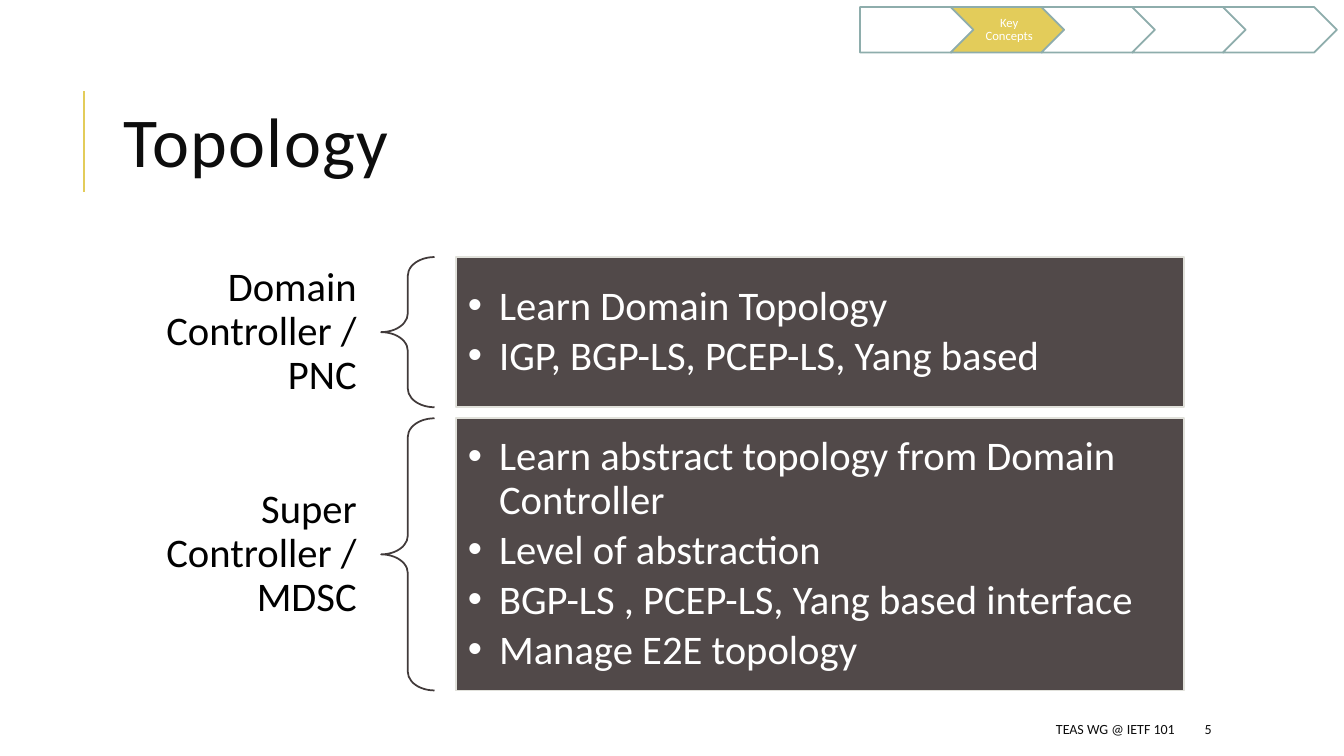
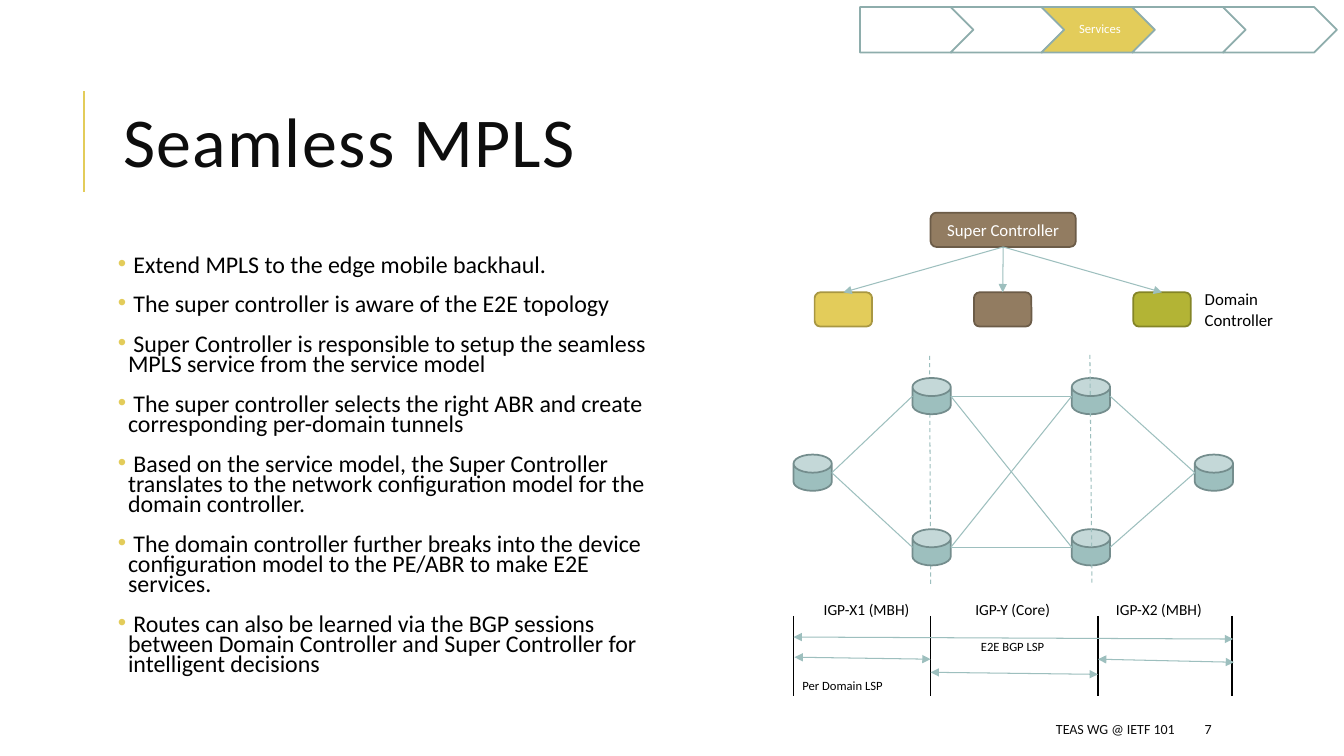
from itertools import pairwise, product

from lxml import etree
from pptx import Presentation
from pptx import util as u
from pptx.dml.color import RGBColor
from pptx.enum import dml, shapes, text
from pptx.oxml.ns import qn

GOLD, TEAL, BROWN, OLIVE = "E3CC5A", "9DBFBE", "927C61", "B3B435"
BLACK, INK, WHITE = "000000", "0D0D0D", "FFFFFF"
LEFT, CENTER, RIGHT = text.PP_ALIGN.LEFT, text.PP_ALIGN.CENTER, text.PP_ALIGN.RIGHT
TOP, MIDDLE = text.MSO_ANCHOR.TOP, text.MSO_ANCHOR.MIDDLE
KIND = shapes.MSO_SHAPE


def rgb(hex_colour):
    return RGBColor.from_string(hex_colour)


class Deck:
    font = "Calibri"
    step_count = 5

    def __init__(self):
        self.prs = Presentation()
        self.prs.slide_width, self.prs.slide_height = u.Inches(13.33), u.Inches(7.5)
        self.slide = None

    def start(self, layout, title, number):
        self.slide = self.prs.slides.add_slide(self.prs.slide_layouts[layout])
        self.line((0.83, 1.9), (0.83, 0.9), GOLD, 1.5)
        heading = self.place(self.slide.shapes.title, 1.12, 0.64, 10.63, 1.64)
        self.fill_text(heading, [title], 50, INK, anchor=MIDDLE, spacing=0.8, tracking=100)
        self.label("TEAS WG @ IETF 101", 5.3, 7.08, 6.45, 0.3, 10, INK, align=RIGHT, anchor=MIDDLE)
        self.label(number, 11.85, 7.08, 1.06, 0.3, 10, INK, anchor=MIDDLE)

    def place(self, shape, x, y, w, h):
        shape.left, shape.top, shape.width, shape.height = map(u.Inches, (x, y, w, h))
        return shape

    def fill_text(self, shape, lines, size, colour, align=LEFT, anchor=TOP, spacing=1.0, before=0,
                  after=0, insets=(0.1, 0.05, 0.1, 0.05), indent=0, bullet=None, tracking=None):
        frame = shape.text_frame
        frame.word_wrap, frame.auto_size = True, text.MSO_AUTO_SIZE.NONE
        frame.vertical_anchor = anchor
        (frame.margin_left, frame.margin_top,
         frame.margin_right, frame.margin_bottom) = map(u.Inches, insets)
        frame.text = "\n".join(lines)
        for paragraph in frame.paragraphs:
            paragraph.alignment, paragraph.line_spacing = align, spacing
            paragraph.space_before, paragraph.space_after = u.Pt(before), u.Pt(after)
            if bullet:
                self.bullet(paragraph, indent, bullet)
            self.style(paragraph, size, colour)
            if tracking:
                paragraph._p.pPr.find(qn("a:defRPr")).set("spc", str(tracking))

    def style(self, paragraph, size, colour):
        paragraph.font.name, paragraph.font.size = self.font, u.Pt(size)
        paragraph.font.color.rgb = rgb(colour)

    def bullet(self, paragraph, indent, colour):
        props = paragraph._p.get_or_add_pPr()
        props.set("marL", str(u.Inches(indent)))
        props.set("indent", str(-u.Inches(indent)))
        tint = etree.SubElement(props, qn("a:buClr"))
        etree.SubElement(tint, qn("a:srgbClr")).set("val", colour)
        etree.SubElement(props, qn("a:buFont")).set("typeface", "Arial")
        etree.SubElement(props, qn("a:buChar")).set("char", "•")

    def label(self, wording, x, y, w, h, size, colour=BLACK, **layout):
        box = self.place(self.slide.shapes.add_textbox(0, 0, 0, 0), x, y, w, h)
        self.fill_text(box, wording.split("\n"), size, colour, **layout)

    def shape(self, kind, x, y, w, h, fill, outline, adjust=None):
        shape = self.slide.shapes.add_shape(kind, *map(u.Inches, (x, y, w, h)))
        shape.shadow.inherit = False
        if fill:
            shape.fill.solid()
            shape.fill.fore_color.rgb = rgb(fill)
        else:
            shape.fill.background()
        shape.line.color.rgb, shape.line.width = rgb(outline), u.Pt(1.25)
        if adjust:
            shape.adjustments[0] = adjust
        return shape

    def line(self, start, end, colour=TEAL, width=0.75, dashed=False, arrows=()):
        connector = self.slide.shapes.add_connector(
            shapes.MSO_CONNECTOR.STRAIGHT, *map(u.Inches, (*start, *end)))
        connector.line.color.rgb, connector.line.width = rgb(colour), u.Pt(width)
        if dashed:
            connector.line.dash_style = dml.MSO_LINE.DASH
        stroke = connector.line._get_or_add_ln()
        for end_name in arrows:
            etree.SubElement(stroke, qn(f"a:{end_name}")).set("type", "triangle")
        etree.SubElement(connector._element.spPr, qn("a:effectLst"))
        return connector

    def table(self, cells, x, y, w, h, size):
        frame = self.slide.shapes.add_table(1, len(cells), *map(u.Inches, (x, y, w, h)))
        frame.table.first_row = frame.table.horz_banding = False
        for cell, wording in zip(frame.table.iter_cells(), cells):
            cell.fill.background()
            cell.text = wording
            paragraph = cell.text_frame.paragraphs[0]
            paragraph.alignment = CENTER
            self.style(paragraph, size, BLACK)

    def progress(self, current, wording):
        for step in range(self.step_count):
            kind = KIND.CHEVRON if step else KIND.PENTAGON
            fill = GOLD if step == current else WHITE
            marker = self.shape(kind, 8.53 + 0.9 * step, 0.07, 1.13, 0.45, fill, "8EADAC")
            if step == current:
                self.fill_text(marker, [wording], 9, WHITE, align=CENTER, anchor=MIDDLE,
                               spacing=0.9, insets=(0.04, 0.03, 0.01, 0.03))

    def role(self, name, duties, y, h):
        self.label(name, 1.12, y, 2.65, h, 29, align=RIGHT, anchor=MIDDLE,
                   spacing=0.9, insets=(0.23, 0.08, 0.23, 0.08))
        self.shape(KIND.LEFT_BRACE, 3.78, y, 0.53, h, None, "413A3A", 0.35)
        panel = self.shape(KIND.RECTANGLE, 4.52, y, 7.22, h, "514949", "E1E1DB")
        self.fill_text(panel, duties, 29, WHITE, anchor=MIDDLE, spacing=0.9, after=4.4,
                       insets=(0.12,) * 4, indent=0.31, bullet=WHITE)


def topology(deck):
    deck.start(5, "Topology", "5")
    deck.role("Domain Controller / PNC",
              ["Learn Domain Topology", "IGP, BGP-LS, PCEP-LS, Yang based"], 2.55, 1.49)
    deck.role("Super Controller / MDSC",
              ["Learn abstract topology from Domain Controller", "Level of abstraction",
               "BGP-LS , PCEP-LS, Yang based interface", "Manage E2E topology"], 4.15, 2.7)
    deck.progress(1, "Key Concepts")


def controllers(deck):
    super_controller = deck.shape(KIND.ROUNDED_RECTANGLE, 9.23, 2.11, 1.44, 0.34, BROWN, "6C5C48")
    deck.fill_text(super_controller, ["Super Controller"], 12, WHITE, align=CENTER, anchor=MIDDLE)
    domains = [(GOLD, "A89743"), (BROWN, "6C5C48"), (OLIVE, "848527")]
    for column, (fill, outline) in enumerate(domains):
        domain = deck.shape(KIND.ROUNDED_RECTANGLE, 8.08 + 1.58 * column, 2.9, 0.57, 0.34,
                            fill, outline)
        control = deck.line((9.95, 2.45), (9.95, 2.9), arrows=["tailEnd"])
        control.begin_connect(super_controller, 2)
        control.end_connect(domain, 0)
    deck.label("Domain\nController", 11.85, 2.82, 1.69, 0.5, 12)


def network(deck):
    router_w, router_h = 0.38, 0.36
    stages = [[(7.87, 4.51)], [(9.05, 3.75), (9.05, 5.25)],
              [(10.63, 3.75), (10.63, 5.25)], [(11.85, 4.51)]]
    deck.line((9.22, 3.53), (9.23, 5.8), dashed=True)
    for stage in stages:
        for x, y in stage:
            deck.shape(KIND.CAN, x, y, router_w, router_h, TEAL, "748D8D", 0.5)
    links = [link for near, far in pairwise(stages) for link in product(near, far)]
    for (x1, y1), (x2, y2) in links:
        deck.line((x1 + router_w, y1 + router_h / 2), (x2, y2 + router_h / 2))
    deck.line((10.81, 3.52), (10.83, 5.78), dashed=True)


def tunnels(deck):
    deck.table(["IGP-X1 (MBH)", "IGP-Y (Core)", "IGP-X2 (MBH)"], 7.87, 5.91, 4.35, 0.41, 11)
    for border in (7.87, 9.23, 10.89, 12.22):
        deck.line((border, 6.11), (border, 6.9), BLACK, 1.25)
    spans = [((7.87, 6.32), (12.23, 6.34)), ((7.88, 6.52), (9.23, 6.54)),
             ((10.89, 6.54), (12.24, 6.57)), ((9.23, 6.67), (10.89, 6.69))]
    for start, end in spans:
        deck.line(start, end, arrows=["headEnd", "tailEnd"])
    deck.label("E2E BGP LSP", 9.63, 6.29, 1.69, 0.25, 9)
    deck.label("Per Domain LSP", 7.86, 6.68, 1.69, 0.25, 9)


def seamless_mpls(deck):
    deck.start(1, "Seamless MPLS", "7")
    points = deck.place(deck.slide.placeholders[1], 1.12, 2.5, 5.54, 4.4)
    deck.fill_text(points, [
        " Extend MPLS to the edge mobile backhaul.",
        " The super controller is aware of the E2E topology",
        " Super Controller is responsible to setup the seamless MPLS service from the service model",
        " The super controller selects the right ABR and create corresponding per-domain tunnels",
        " Based on the service model, the Super Controller translates to the network "
        "configuration model for the domain controller.",
        " The domain controller further breaks into the device configuration model to the "
        "PE/ABR to make E2E services.",
        " Routes can also be learned via the BGP sessions between Domain Controller and "
        "Super Controller for intelligent decisions",
    ], 17.1, BLACK, spacing=0.7, before=12, after=2, insets=(0.05,) * 4, indent=0.1, bullet=GOLD)
    controllers(deck)
    network(deck)
    tunnels(deck)
    deck.progress(2, "Services")


def main():
    deck = Deck()
    topology(deck)
    seamless_mpls(deck)
    deck.prs.save("out.pptx")


if __name__ == "__main__":
    main()
